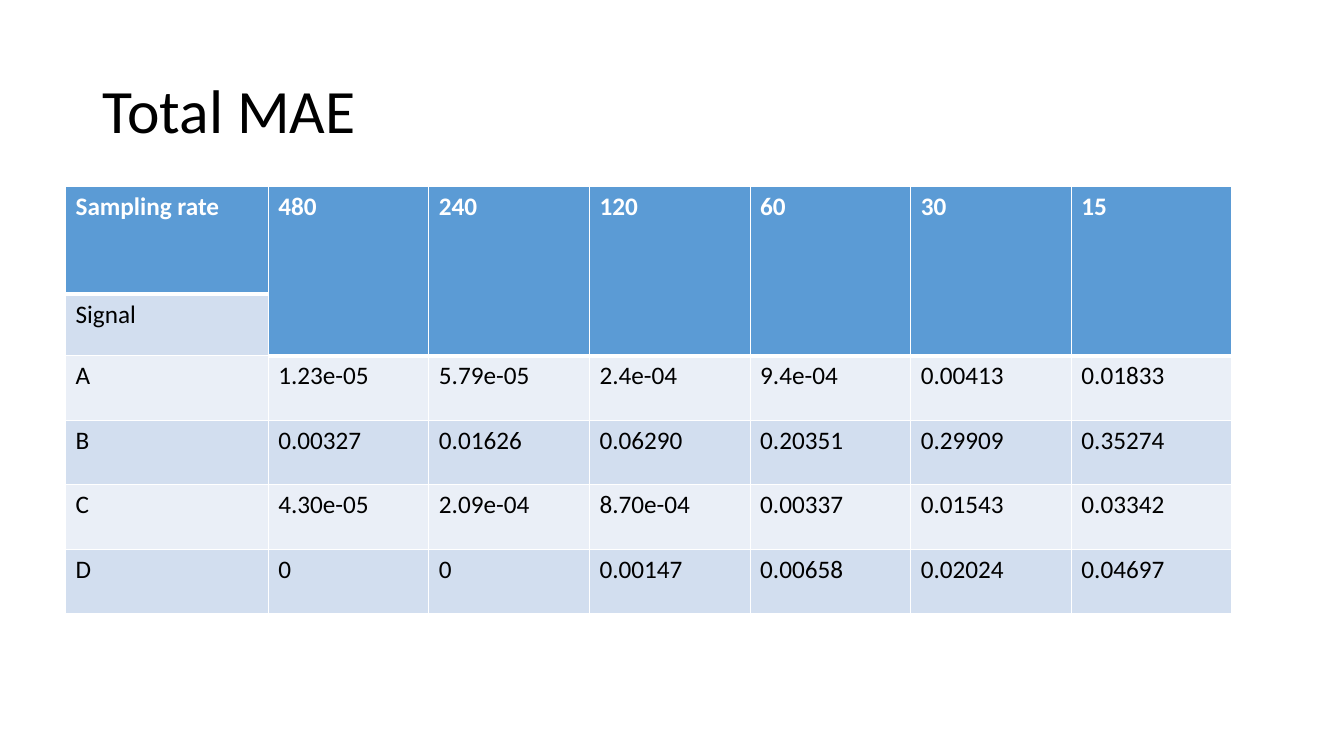
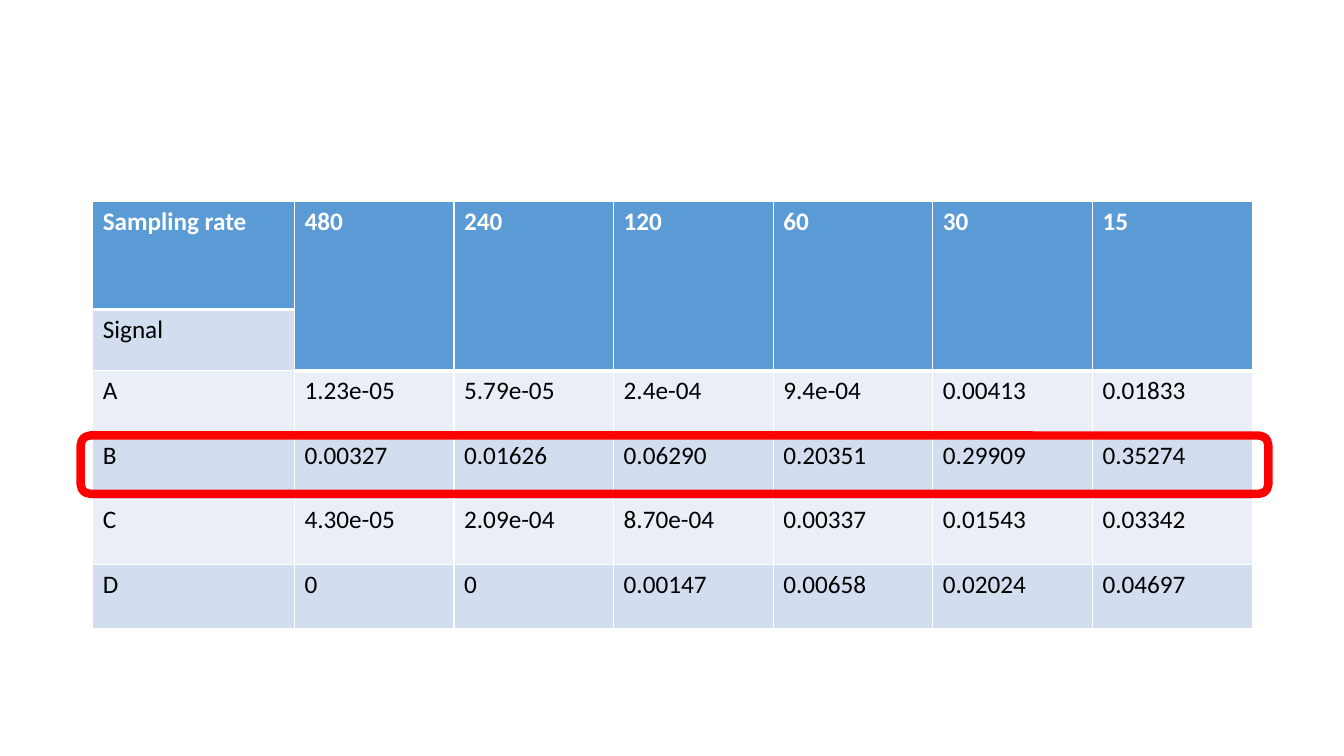
"""Build two slides that tabulate total MAE by signal and sampling rate."""

from dataclasses import dataclass

from lxml import etree
from pptx import Presentation
from pptx.dml.color import RGBColor
from pptx.enum.shapes import MSO_SHAPE
from pptx.enum.text import MSO_ANCHOR
from pptx.oxml.ns import qn
from pptx.slide import Slide
from pptx.table import _Cell
from pptx.text.text import TextFrame
from pptx.util import Emu, Pt

ROUNDED_RECTANGLE = MSO_SHAPE.ROUNDED_RECTANGLE
ANCHOR_MIDDLE = MSO_ANCHOR.MIDDLE

EMU_PER_PX = 9144
FONT = "Calibri"
COLORS = {
    "text": "000000",
    "border": "FFFFFF",
    "header_text": "FFFFFF",
    "header": "5B9BD5",
    "band_dark": "D2DEEF",
    "band_light": "EAEFF7",
    "highlight": "FF0000",
}
THIN_BORDER, THICK_BORDER = 1, 3
ROW_HEIGHTS = (107, 61, 64, 64, 64, 64)
MAE_ROWS = (
    ("Sampling rate", "480", "240", "120", "60", "30", "15"),
    ("Signal", "", "", "", "", "", ""),
    ("A", "1.23e-05", "5.79e-05", "2.4e-04", "9.4e-04", "0.00413", "0.01833"),
    ("B", "0.00327", "0.01626", "0.06290", "0.20351", "0.29909", "0.35274"),
    ("C", "4.30e-05", "2.09e-04", "8.70e-04", "0.00337", "0.01543", "0.03342"),
    ("D", "0", "0", "0.00147", "0.00658", "0.02024", "0.04697"),
)


@dataclass(frozen=True)
class Box:
    left: int
    top: int
    width: int
    height: int

    def emu(self) -> tuple[Emu, Emu, Emu, Emu]:
        return px(self.left), px(self.top), px(self.width), px(self.height)


@dataclass(frozen=True)
class MaeTable:
    left: int
    top: int
    width: int
    label_width: int


def px(length: int) -> Emu:
    return Emu(length * EMU_PER_PX)


def color(name: str) -> RGBColor:
    return RGBColor.from_string(COLORS[name])


def write_text(frame: TextFrame, text: str, *, size: int = 18, fill: str = "text",
               bold: bool = False, line_spacing: float = 1.0) -> None:
    paragraph = frame.paragraphs[0]
    paragraph.line_spacing = line_spacing
    run = paragraph.add_run()
    run.text = text
    run.font.name = FONT
    run.font.size = Pt(size)
    run.font.bold = bold
    run.font.color.rgb = color(fill)


def add_title(slide: Slide, text: str, box: Box) -> None:
    frame = slide.shapes.add_textbox(*box.emu()).text_frame
    frame.word_wrap = True
    frame.vertical_anchor = ANCHOR_MIDDLE
    write_text(frame, text, size=44, line_spacing=0.9)


def set_borders(cell: _Cell, top: int, bottom: int) -> None:
    properties = cell._tc.get_or_add_tcPr()
    widths = {"a:lnL": THIN_BORDER, "a:lnR": THIN_BORDER, "a:lnT": top, "a:lnB": bottom}
    for tag, width in widths.items():
        line = etree.SubElement(properties, qn(tag), w=str(Pt(width)))
        solid_fill = etree.SubElement(line, qn("a:solidFill"))
        etree.SubElement(solid_fill, qn("a:srgbClr"), val=COLORS["border"])


def is_header(row: int, column: int) -> bool:
    return row == 0 or (row == 1 and column > 0)


def format_cell(cell: _Cell, row: int, column: int) -> None:
    header = is_header(row, column)
    below_header = row > 0 and is_header(row - 1, column) and not header
    set_borders(cell, THICK_BORDER if below_header else THIN_BORDER,
                THICK_BORDER if header else THIN_BORDER)
    band = "band_dark" if row % 2 else "band_light"
    cell.fill.solid()
    cell.fill.fore_color.rgb = color("header" if header else band)


def add_mae_table(slide: Slide, layout: MaeTable) -> None:
    box = Box(layout.left, layout.top, layout.width, sum(ROW_HEIGHTS))
    column_count = len(MAE_ROWS[0])
    table = slide.shapes.add_table(len(MAE_ROWS), column_count, *box.emu()).table
    table.first_row = False
    table.horz_banding = False
    rate_width = px(layout.width - layout.label_width) // (column_count - 1)
    for column, table_column in enumerate(table.columns):
        table_column.width = Emu(rate_width) if column else px(layout.label_width)
    for row, values in enumerate(MAE_ROWS):
        table.rows[row].height = px(ROW_HEIGHTS[row])
        for column, value in enumerate(values):
            cell = table.cell(row, column)
            format_cell(cell, row, column)
            if value:
                header = is_header(row, column)
                write_text(cell.text_frame, value, bold=header,
                           fill="header_text" if header else "text")
    for column in range(1, column_count):
        table.cell(0, column).merge(table.cell(1, column))


def add_highlight(slide: Slide, box: Box) -> None:
    shape = slide.shapes.add_shape(ROUNDED_RECTANGLE, *box.emu())
    shape.shadow.inherit = False
    shape.fill.background()
    shape.line.color.rgb = color("highlight")
    shape.line.width = Pt(6)


def main() -> None:
    presentation = Presentation()
    presentation.slide_width = px(1333)
    presentation.slide_height = px(750)
    blank = presentation.slide_layouts[6]

    overview = presentation.slides.add_slide(blank)
    add_title(overview, "Total MAE", Box(92, 40, 1150, 145))
    add_mae_table(overview, MaeTable(65, 185, 1157, 201))

    highlighted = presentation.slides.add_slide(blank)
    add_mae_table(highlighted, MaeTable(92, 200, 1150, 200))
    add_highlight(highlighted, Box(80, 432, 1178, 58))

    presentation.save("out.pptx")


if __name__ == "__main__":
    main()
